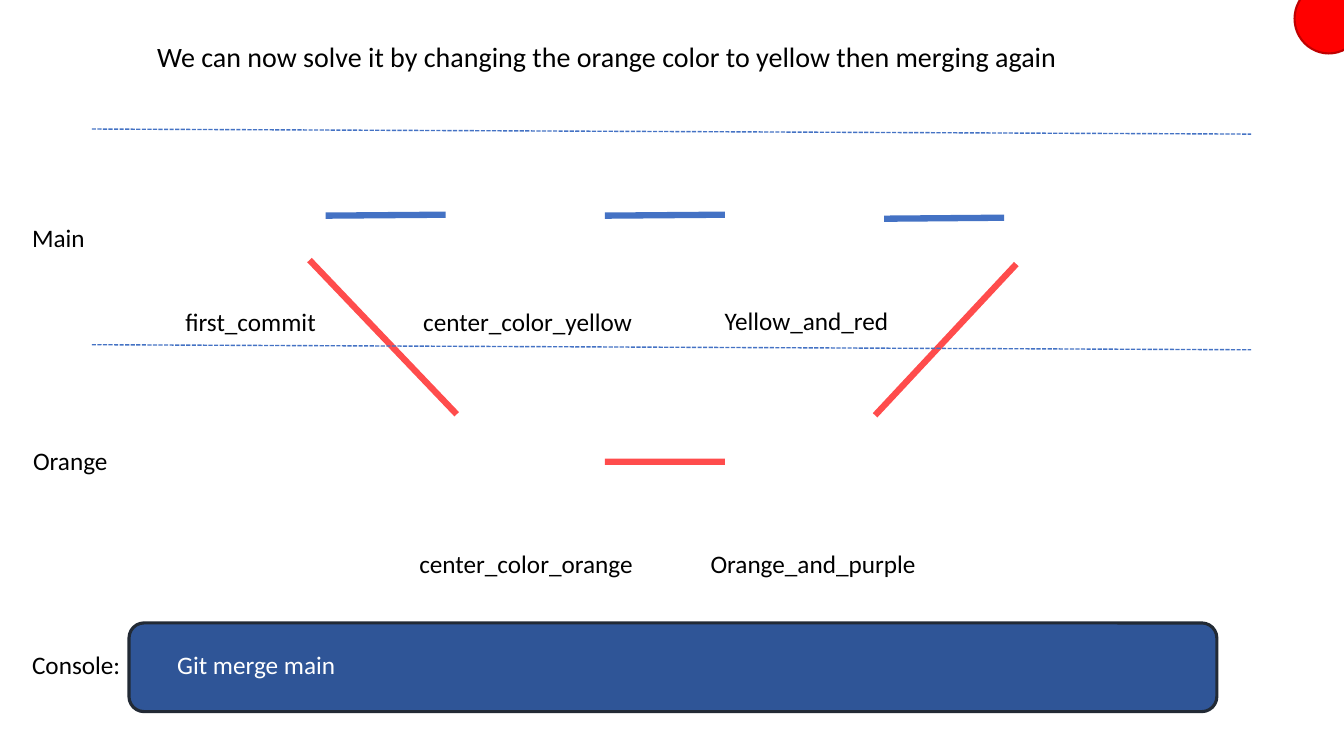
from dataclasses import dataclass

from lxml.etree import SubElement
from pptx import Presentation
from pptx.dml.color import RGBColor as Color
from pptx.enum.dml import MSO_LINE_DASH_STYLE as Dash
from pptx.enum.shapes import MSO_CONNECTOR_TYPE as Connector, MSO_SHAPE as Shape
from pptx.enum.text import MSO_AUTO_SIZE as AutoSize
from pptx.oxml.ns import qn
from pptx.util import Inches, Pt


@dataclass(frozen=True)
class Theme:
    font: str = "Calibri"
    ink: str = "000000"
    light: str = "FFFFFF"
    main: str = "4472C4"
    branch: str = "FF0000"
    marker_edge: str = "C00000"
    console: str = "2F5597"
    console_edge: str = "222A35"
    title_size: int = 20
    label_size: int = 18
    stroke: float = 4.5
    guide: float = 1


THEME = Theme()
WIDTH, HEIGHT = Inches(13.33), Inches(7.5)


def across(percent):
    return round(WIDTH * percent / 100)


def down(percent):
    return round(HEIGHT * percent / 100)


def place(left, top, width, height):
    return across(left), down(top), across(width), down(height)


def assign(target, values):
    for name, value in values.items():
        setattr(target, name, value)


def add_label(page, text, left, top, width, size=THEME.label_size, color=THEME.ink):
    box = page.shapes.add_textbox(*place(left, top, width, 5.33))
    assign(box.text_frame, {"word_wrap": True, "auto_size": AutoSize.SHAPE_TO_FIT_TEXT})
    span = box.text_frame.paragraphs[0].add_run()
    span.text = text
    assign(span.font, {"name": THEME.font, "size": Pt(size)})
    span.font.color.rgb = Color.from_string(color)


def add_line(page, start, end, color, weight=THEME.stroke, dash=None, opacity=100):
    line = page.shapes.add_connector(
        Connector.STRAIGHT, across(start[0]), down(start[1]), across(end[0]), down(end[1])
    )
    line.line.color.rgb = Color.from_string(color)
    assign(line.line, {"width": Pt(weight), "dash_style": dash})
    properties = line._element.spPr
    if opacity < 100:
        tint = next(properties.iter(qn("a:srgbClr")))
        SubElement(tint, qn("a:alpha"), val=str(opacity * 1000))
    SubElement(properties, qn("a:effectLst"))


def add_panel(page, kind, bounds, fill, edge, weight):
    panel = page.shapes.add_shape(kind, *place(*bounds))
    panel.shadow.inherit = False
    panel.fill.solid()
    panel.fill.fore_color.rgb = Color.from_string(fill)
    panel.line.color.rgb = Color.from_string(edge)
    panel.line.width = Pt(weight)
    return panel


def add_console(page):
    console = add_panel(page, Shape.ROUNDED_RECTANGLE, (9.6, 82.4, 80.94, 11.73),
                        THEME.console, THEME.console_edge, 2.25)
    console.adjustments[0] = 0.17
    add_label(page, "Git merge main", 12.45, 85.2, 62.86, color=THEME.light)


def add_history(page):
    for step, row in enumerate((28.4, 28.4, 28.8)):
        left = 24.23 + 20.78 * step
        add_line(page, (left, row + 0.13), (left + 8.93, row), THEME.main)
    for start, end in (
        ((23.03, 34.4), (33.98, 54.8)),
        ((45.01, 61.07), (53.94, 61.07)),
        ((65.11, 54.93), (75.62, 34.93)),
    ):
        add_line(page, start, end, THEME.branch, opacity=70)
    for row in (17.07, 45.6):
        add_line(page, (6.83, row), (93.1, row + 0.67), THEME.main, THEME.guide, Dash.SQUARE_DOT)


def add_labels(page):
    add_label(page, "We can now solve it by changing the orange color to yellow then merging again",
              10.95, 4.53, 78.99, THEME.title_size)
    for text, left, top, width in (
        ("Main", 1.65, 28.8, 9.3),
        ("Orange", 1.72, 58.27, 9.3),
        ("Console:", 1.65, 85.2, 10.35),
        ("first_commit", 13.05, 39.87, 14.85),
        ("center_color_yellow", 30.75, 39.87, 17.55),
        ("Yellow_and_red", 53.18, 39.73, 17.55),
        ("center_color_orange", 30.46, 71.87, 17.55),
        ("Orange_and_purple", 52.13, 71.87, 17.55),
    ):
        add_label(page, text, left, top, width)


def main():
    deck = Presentation()
    assign(deck, {"slide_width": WIDTH, "slide_height": HEIGHT})
    page = deck.slides.add_slide(deck.slide_layouts[6])
    add_console(page)
    add_history(page)
    add_labels(page)
    add_panel(page, Shape.OVAL, (96.32, -2.13, 5.1, 9.2), THEME.branch, THEME.marker_edge, 1.5)
    deck.save("out.pptx")


if __name__ == "__main__":
    main()
